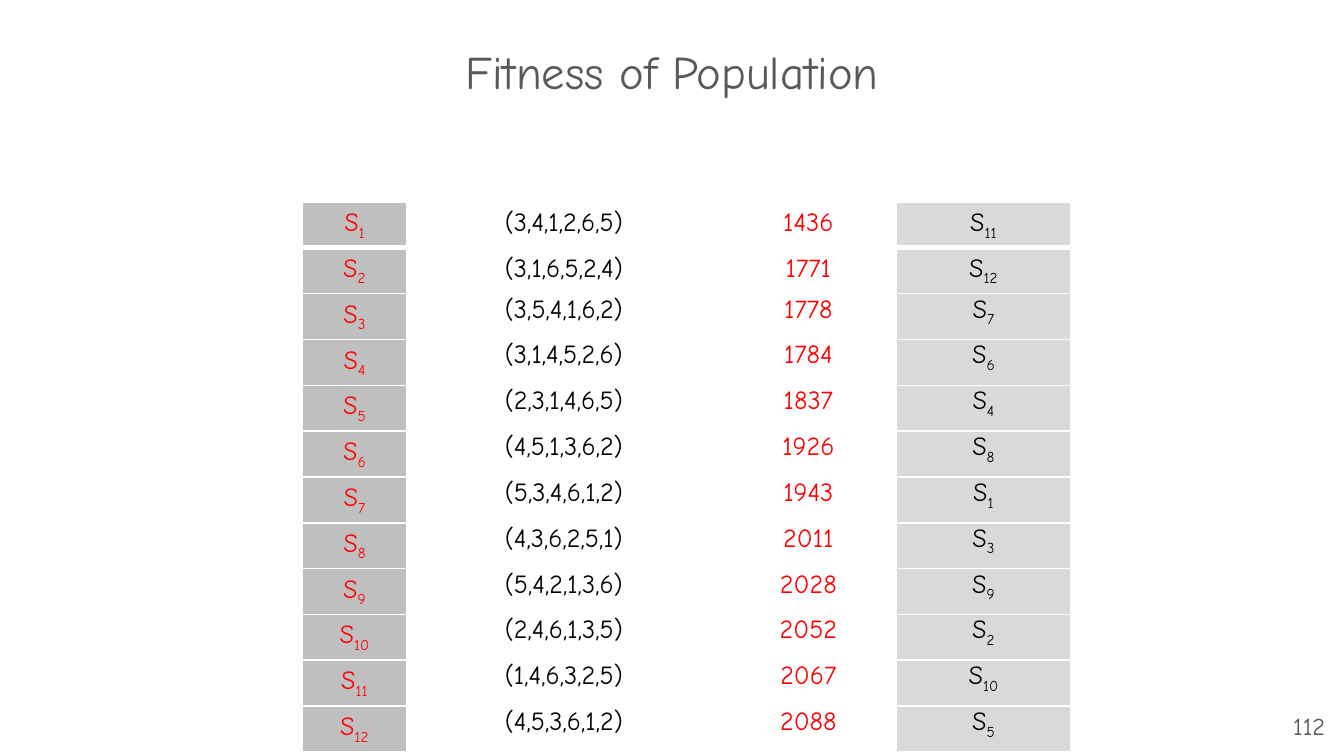
import pptx
import pptx.util
import pptx.oxml
import pptx.oxml.ns
import pptx.dml.color
import pptx.enum.text

PX = 914400 / 134.4
COLORS = {
    "grey_text": "595959",
    "red": "FF0000",
    "black": "000000",
    "label_fill": "BFBFBF",
    "rank_fill": "D9D9D9",
    "border": "FFFFFF",
}
ALIGN = pptx.enum.text.PP_ALIGN
ANCHOR = pptx.enum.text.MSO_ANCHOR


def px(length):
    return pptx.util.Emu(round(length * PX))


def add_text(paragraph, text, size, color, align, subscript=""):
    paragraph.alignment = align
    for part, baseline in ((text, None), (subscript, "-25000")):
        if not part:
            continue
        run = paragraph.add_run()
        run.text = part
        font_format = {"name": "Comic Neue", "size": pptx.util.Pt(size), "bold": False}
        for attribute, value in font_format.items():
            setattr(run.font, attribute, value)
        run.font.color.rgb = pptx.dml.color.RGBColor.from_string(COLORS[color])
        if baseline:
            run._r.get_or_add_rPr().set("baseline", baseline)


presentation = pptx.Presentation()
presentation.slide_width = px(1344)
presentation.slide_height = px(756)
slide = presentation.slides.add_slide(presentation.slide_layouts[5])

title = slide.shapes.title
title_format = {"left": 0, "top": 0, "width": px(1344), "height": px(142)}
for attribute, value in title_format.items():
    setattr(title, attribute, value)
title.text_frame.vertical_anchor = ANCHOR.MIDDLE
add_text(title.text_frame.paragraphs[0], "Fitness of Population", 25, "grey_text", ALIGN.CENTER)

population = [
    ("(3,4,1,2,6,5)", "1436", "11"),
    ("(3,1,6,5,2,4)", "1771", "12"),
    ("(3,5,4,1,6,2)", "1778", "7"),
    ("(3,1,4,5,2,6)", "1784", "6"),
    ("(2,3,1,4,6,5)", "1837", "4"),
    ("(4,5,1,3,6,2)", "1926", "8"),
    ("(5,3,4,6,1,2)", "1943", "1"),
    ("(4,3,6,2,5,1)", "2011", "3"),
    ("(5,4,2,1,3,6)", "2028", "9"),
    ("(2,4,6,1,3,5)", "2052", "2"),
    ("(1,4,6,3,2,5)", "2067", "10"),
    ("(4,5,3,6,1,2)", "2088", "5"),
]
column_widths = [105, 314, 175, 175]
column_colors = ["red", "black", "red", "black"]
column_fills = ["label_fill", None, None, "rank_fill"]
row_height = 40
wide_margins = {"margin_left": 13, "margin_top": 6, "margin_right": 13, "margin_bottom": 6}
narrow_margins = {"margin_left": 1, "margin_top": 1, "margin_right": 1, "margin_bottom": 0}

table = slide.shapes.add_table(
    len(population), len(column_widths), px(302), px(202),
    px(sum(column_widths)), px(row_height * len(population)),
).table
table.first_row = False
table.horz_banding = False
for column, width in zip(table.columns, column_widths):
    column.width = px(width)

for row_index, (solution, fitness, ranked) in enumerate(population):
    table.rows[row_index].height = px(row_height)
    entries = [("S", str(row_index + 1)), (solution, ""), (fitness, ""), ("S", ranked)]
    border_widths = {
        "L": 1,
        "R": 1,
        "T": 3 if row_index == 1 else 1,
        "B": 3 if row_index == 0 else 1,
    }
    for column_index, (text, subscript) in enumerate(entries):
        cell = table.cell(row_index, column_index)
        margins = wide_margins if row_index < 2 or column_index == 0 else narrow_margins
        for attribute, value in margins.items():
            setattr(cell, attribute, px(value))
        cell.vertical_anchor = ANCHOR.TOP
        properties = cell._tc.get_or_add_tcPr()
        for side, width in border_widths.items():
            properties.append(pptx.oxml.parse_xml(
                f'<a:ln{side} {pptx.oxml.ns.nsdecls("a")} w="{pptx.util.Pt(width)}">'
                f'<a:solidFill><a:srgbClr val="{COLORS["border"]}"/></a:solidFill></a:ln{side}>'
            ))
        fill = column_fills[column_index]
        if fill:
            cell.fill.solid()
            cell.fill.fore_color.rgb = pptx.dml.color.RGBColor.from_string(COLORS[fill])
        else:
            cell.fill.background()
        add_text(cell.text_frame.paragraphs[0], text, 14, column_colors[column_index],
                 ALIGN.CENTER, subscript)

page_number = slide.shapes.add_textbox(px(1258), px(698), px(80), px(58)).text_frame
page_format = {"word_wrap": True, "margin_left": px(13), "margin_top": px(13),
               "margin_right": px(13), "margin_bottom": px(13)}
for attribute, value in page_format.items():
    setattr(page_number, attribute, value)
add_text(page_number.paragraphs[0], "112", 13, "grey_text", ALIGN.RIGHT)

presentation.save("out.pptx")
